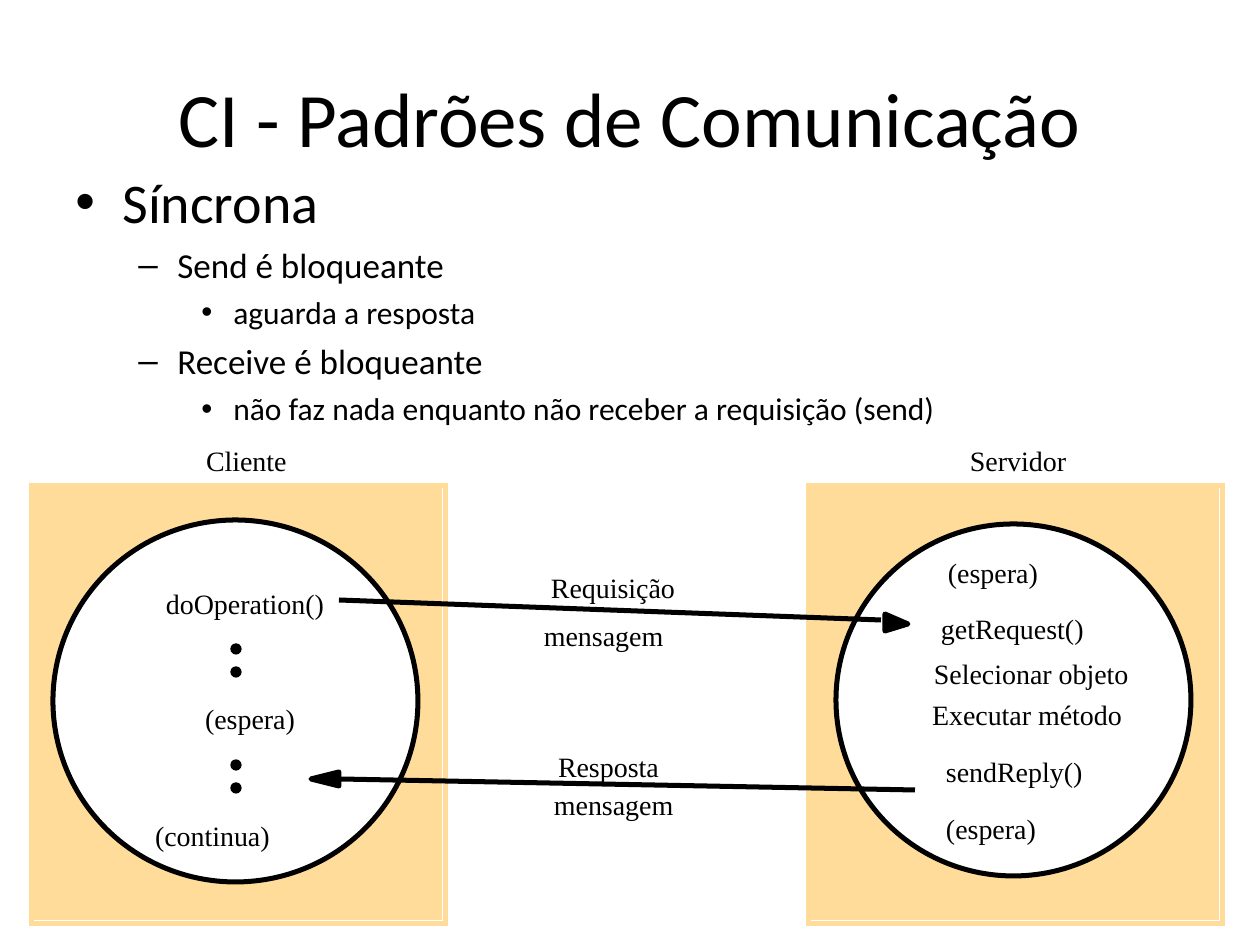
from lxml import etree
from pptx import Presentation
from pptx import util as u
from pptx.dml.color import RGBColor
from pptx.enum import shapes, text
from pptx.oxml import ns

THEME = {
    "ink": RGBColor.from_string("000000"),
    "panel": RGBColor.from_string("FFDC99"),
    "process": RGBColor.from_string("FFFFFF"),
    "sans": "Calibri",
    "serif": "Times New Roman",
    "title": 44,
    "levels": [32, 20, 18],
    "label": 16,
    "stroke": u.Pt(2.86),
    "hairline": u.Pt(0.75),
}
PX = 914400 / 126

deck = Presentation()
deck.slide_width, deck.slide_height = u.Inches(10), u.Inches(7.5)
slide = deck.slides.add_slide(deck.slide_layouts[6])
canvas = slide.shapes


def write(box, lines, *, size=THEME["label"], font=THEME["serif"], wrap=False,
          align=text.PP_ALIGN.LEFT, anchor=text.MSO_ANCHOR.TOP, outline=None):
    frame = canvas.add_textbox(*(u.Emu(round(n * PX)) for n in box)).text_frame
    frame.word_wrap = wrap
    frame.vertical_anchor = anchor
    if not wrap:
        frame.margin_left = frame.margin_right = frame.margin_top = frame.margin_bottom = 0
        frame.auto_size = text.MSO_AUTO_SIZE.SHAPE_TO_FIT_TEXT
    for i, (level, words) in enumerate(lines):
        para = frame.paragraphs[0] if i == 0 else frame.add_paragraph()
        para.alignment = align
        run = para.add_run()
        run.text = words
        points = size
        if outline:
            bullet, indent, hanging, points = outline[level]
            para.level = level
            para.space_before = u.Pt(points / 4 if i else 0)
            props = para._p.get_or_add_pPr()
            props.set("marL", str(round(indent * PX)))
            props.set("indent", str(round(-hanging * PX)))
            etree.SubElement(props, ns.qn("a:buFont")).set("typeface", "Arial")
            etree.SubElement(props, ns.qn("a:buChar")).set("char", bullet)
        run.font.size, run.font.name = u.Pt(points), font
        run.font.color.rgb = THEME["ink"]


def paint(shape, fill=None, line=None, width=THEME["stroke"]):
    shape.shadow.inherit = False
    if fill is None:
        shape.fill.background()
    else:
        shape.fill.solid()
        shape.fill.fore_color.rgb = fill
    if line is None:
        shape.line.fill.background()
    else:
        shape.line.color.rgb = line
        shape.line.width = width


write((63, 38, 1134, 158), [(0, "CI - Padrões de Comunicação")],
      size=THEME["title"], font=THEME["sans"], wrap=True,
      align=text.PP_ALIGN.CENTER, anchor=text.MSO_ANCHOR.MIDDLE)

outline = [(bullet, indent, hanging, points) for (bullet, indent, hanging), points in zip(
    [("•", 47, 47), ("–", 102, 39), ("•", 158, 32)], THEME["levels"])]
write((63, 161, 1134, 683), [
    (0, "Síncrona"),
    (1, "Send é bloqueante"),
    (2, "aguarda a resposta"),
    (1, "Receive é bloqueante"),
    (2, "não faz nada enquanto não receber a requisição (send)"),
], font=THEME["sans"], wrap=True, outline=outline)

for left in (809, 32):
    for width, height, fill, line in ((410, 434, THEME["panel"], None),
                                      (414, 438, None, THEME["panel"])):
        panel = canvas.add_shape(shapes.MSO_SHAPE.RECTANGLE, *(
            u.Emu(round(n * PX)) for n in (left, 486, width, height)))
        paint(panel, fill, line)
        if line is not None:
            corner = etree.SubElement(panel.line._get_or_add_ln(), ns.qn("a:miter"))
            corner.set("lim", "800000")

client, server = (53, 520, 365, 362), (836, 524, 355, 352)
dots = [(231, top, 10, 10) for first in (644, 760) for top in (first, first + 23)]
for box, fill, width in (
    [(process, THEME["process"], THEME["stroke"]) for process in (client, server)]
    + [(dot, THEME["ink"], THEME["hairline"]) for dot in dots]
):
    circle = canvas.add_shape(shapes.MSO_SHAPE.OVAL, *(u.Emu(round(n * PX)) for n in box))
    paint(circle, fill, THEME["ink"], width)

messages = [
    ((339, 600, 881, 620), [(885, 614), (908, 624), (885, 631)]),
    ((339, 779, 915, 790), [(339, 786), (311, 779), (339, 772)]),
]
for ends, head in messages:
    builder = canvas.build_freeform(*head[0], scale=PX)
    builder.add_line_segments(head[1:], close=True)
    paint(builder.convert_to_shape(), THEME["ink"], THEME["ink"])
    shaft = canvas.add_connector(shapes.MSO_CONNECTOR.STRAIGHT, *(
        u.Emu(round(n * PX)) for n in ends))
    shaft.line.color.rgb = THEME["ink"]
    shaft.line.width = THEME["stroke"]
    etree.SubElement(shaft._element.spPr, ns.qn("a:effectLst"))

for left, top, width, label in [
    (206, 444, 84, "Cliente"),
    (166, 587, 162, "doOperation()"),
    (205, 702, 94, "(espera)"),
    (155, 819, 118, "(continua)"),
    (551, 571, 128, "Requisição"),
    (544, 619, 124, "mensagem"),
    (558, 750, 104, "Resposta"),
    (554, 788, 124, "mensagem"),
    (970, 444, 102, "Servidor"),
    (948, 556, 94, "(espera)"),
    (941, 612, 148, "getRequest()"),
    (934, 657, 199, "Selecionar objeto"),
    (932, 698, 194, "Executar método"),
    (946, 755, 142, "sendReply()"),
    (946, 812, 94, "(espera)"),
]:
    write((left, top, width, 34), [(0, label)])

deck.save("out.pptx")
